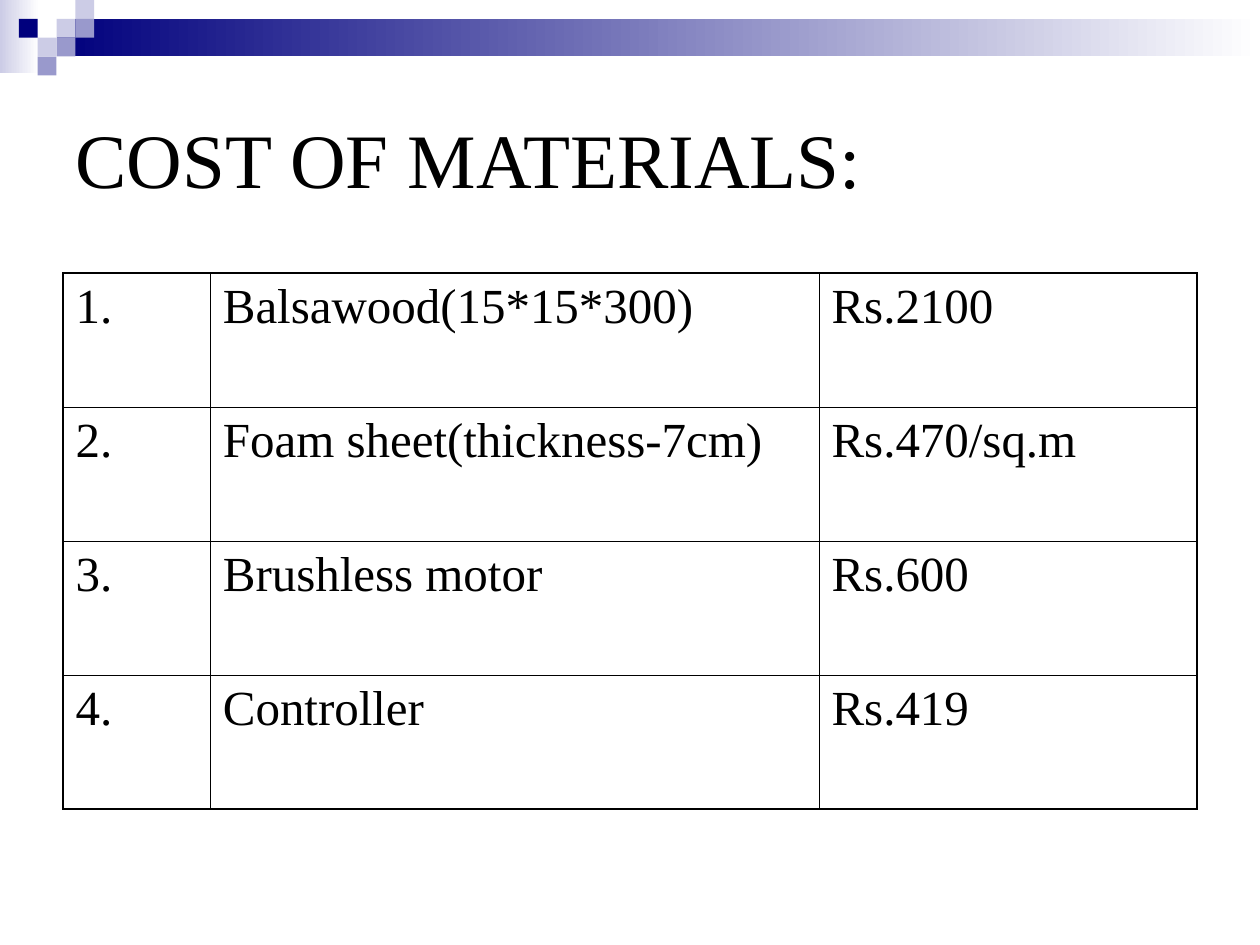
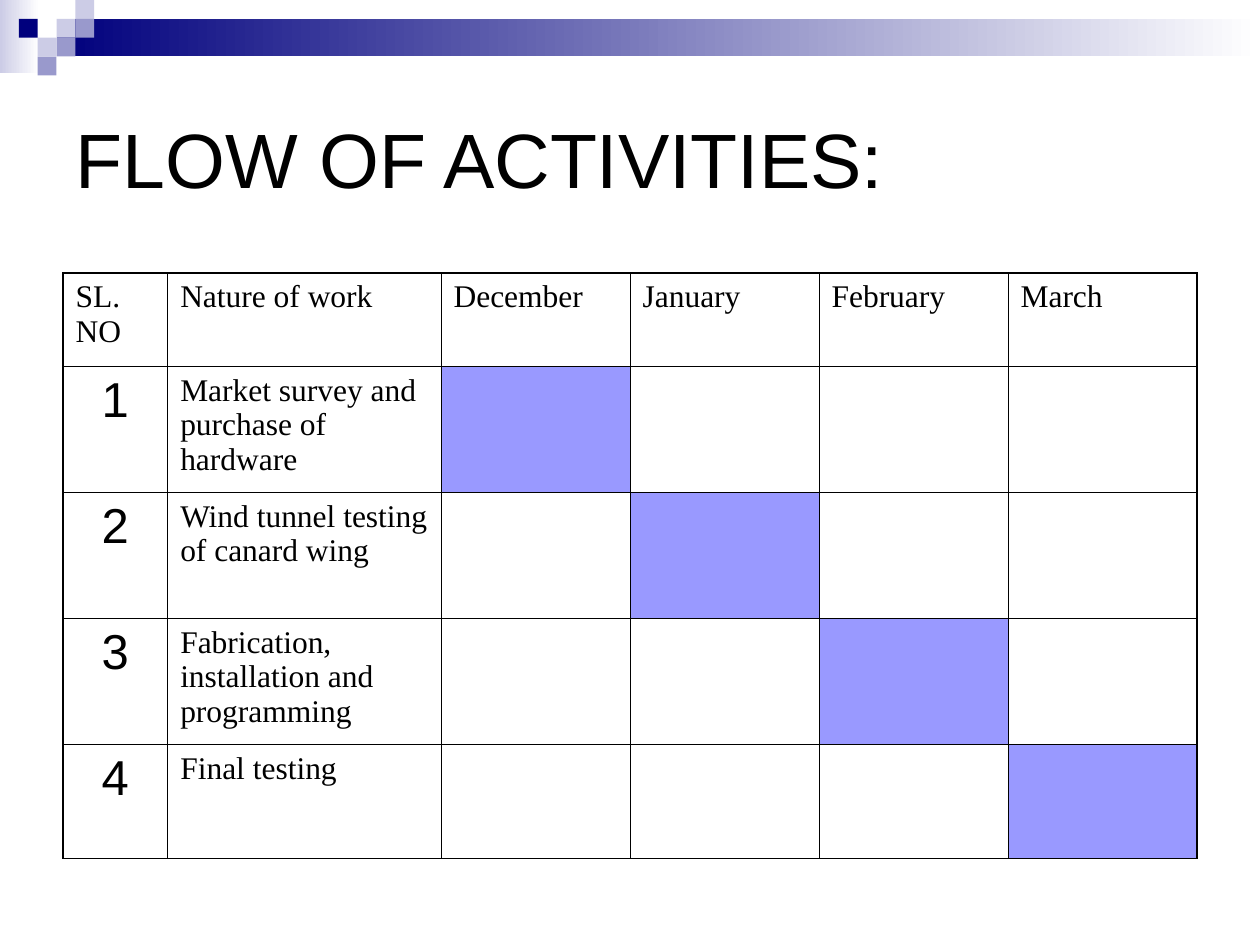
from dataclasses import dataclass

from lxml.etree import SubElement
from pptx import Presentation
from pptx.dml.color import RGBColor
from pptx.enum.shapes import MSO_SHAPE
from pptx.enum.text import MSO_ANCHOR, MSO_AUTO_SIZE, PP_ALIGN
from pptx.oxml.ns import qn
from pptx.util import Cm, Pt


@dataclass(frozen=True)
class Theme:
    ink: str = "000000"
    paper: str = "FFFFFF"
    navy: str = "00007D"
    lilac: str = "9999CC"
    mist: str = "CCCCE6"
    active: str = "9999FF"
    serif: str = "Times New Roman"
    sans: str = "Arial"
    title_size: float = 44
    large_size: float = 28
    small_size: float = 18
    outer_line: float = 1.08
    inner_line: float = 0.45


THEME = Theme()
TITLE_ONLY = 5
MARGIN, CONTENT_WIDTH = 1.27, 22.86
TABLE_TOP = 5.51
TILE = 0.38

# Tiles of the corner mosaic: column, row, colour
TILES = [
    (3, 1, THEME.mist), (4, 0, THEME.mist), (4, 1, THEME.lilac),
    (2, 2, THEME.mist), (1, 1, THEME.navy), (3, 2, THEME.lilac),
    (2, 3, THEME.lilac),
]

MATERIALS = [
    ("Balsawood(15*15*300)", "Rs.2100"),
    ("Foam sheet(thickness-7cm)", "Rs.470/sq.m"),
    ("Brushless motor", "Rs.600"),
    ("Controller", "Rs.419"),
]
MONTHS = ["December", "January", "February", "March"]
ACTIVITIES = [
    "Market survey and purchase of hardware",
    "Wind tunnel testing of canard wing",
    "Fabrication, installation and programming",
    "Final testing",
]


def rgb(colour):
    return RGBColor.from_string(colour)


def write(frame, text, font, size, align=PP_ALIGN.LEFT):
    paragraph = frame.paragraphs[0]
    paragraph.text = text
    paragraph.alignment = align
    for name, value in {"name": font, "size": Pt(size), "bold": False}.items():
        setattr(paragraph.font, name, value)
    paragraph.font.color.rgb = rgb(THEME.ink)


# Shared header, kept on the layout
def add_block(group, left, top, width, height, colour, fade=False):
    block = group.shapes.add_shape(
        MSO_SHAPE.RECTANGLE, Cm(left), Cm(top), Cm(width), Cm(height))
    block.shadow.inherit = False
    block.line.fill.background()
    if fade:
        block.fill.gradient()
        block.fill.gradient_angle = 0
        for stop, shade in zip(block.fill.gradient_stops, (colour, THEME.paper)):
            stop.color.rgb = rgb(shade)
    else:
        block.fill.solid()
        block.fill.fore_color.rgb = rgb(colour)


def add_header(slide):
    """Build the header band and move it to the slide's layout."""
    header = slide.shapes.add_group_shape()
    add_block(header, 0, 0, 0.79, 1.47, THEME.mist, fade=True)
    add_block(header, 3 * TILE, TILE, 25.4 - 3 * TILE, 2 * TILE, THEME.navy, fade=True)
    for column, row, colour in TILES:
        add_block(header, column * TILE, row * TILE, TILE, TILE, colour)
    layout_tree = slide.slide_layout.shapes.element
    for footer in list(slide.slide_layout.placeholders)[1:]:
        layout_tree.remove(footer.element)
    layout_tree.insert(2, header.element)


def add_titled_slide(deck, text, font):
    slide = deck.slides.add_slide(deck.slide_layouts[TITLE_ONLY])
    title = slide.shapes.title
    place = {"left": MARGIN, "top": MARGIN, "width": CONTENT_WIDTH, "height": 3.81}
    for name, value in place.items():
        setattr(title, name, Cm(value))
    title.text_frame.auto_size = MSO_AUTO_SIZE.NONE
    title.text_frame.vertical_anchor = MSO_ANCHOR.MIDDLE
    write(title.text_frame, text, font, THEME.title_size)
    return slide


# Tables
def set_borders(cell, outer_sides):
    properties = cell._tc.get_or_add_tcPr()
    for side, outer in outer_sides.items():
        width = THEME.outer_line if outer else THEME.inner_line
        line = SubElement(properties, qn(f"a:ln{side}"), w=str(Pt(width)))
        SubElement(SubElement(line, qn("a:solidFill")), qn("a:srgbClr"), val=THEME.ink)


def add_grid(slide, widths, heights):
    """Add an unfilled table with a heavier outer frame."""
    grid = slide.shapes.add_table(
        len(heights), len(widths), Cm(MARGIN), Cm(TABLE_TOP),
        Cm(sum(widths)), Cm(sum(heights))).table
    grid.first_row = grid.horz_banding = False
    for column, width in zip(grid.columns, widths):
        column.width = Cm(width)
    for row, height in zip(grid.rows, heights):
        row.height = Cm(height)
    last_row, last_column = len(heights) - 1, len(widths) - 1
    for r in range(len(heights)):
        for c in range(len(widths)):
            cell = grid.cell(r, c)
            set_borders(cell, {"L": c == 0, "R": c == last_column,
                               "T": r == 0, "B": r == last_row})
            cell.fill.background()
    return grid


def add_cost_table(slide):
    costs = add_grid(slide, [2.97, 12.27, 7.62], [2.7] * len(MATERIALS))
    for r, (material, price) in enumerate(MATERIALS):
        for c, text in enumerate((f"{r + 1}.", material, price)):
            write(costs.cell(r, c).text_frame, text, THEME.serif, THEME.large_size)


def add_schedule(slide):
    schedule = add_grid(slide, [2.11, 5.51] + [3.81] * len(MONTHS),
                        [1.88, 2.54, 2.54, 2.54, 2.3])
    for c, heading in enumerate(["SL. NO", "Nature of work"] + MONTHS):
        write(schedule.cell(0, c).text_frame, heading, THEME.serif, THEME.small_size)
    # Each activity takes one month, in turn
    for number, activity in enumerate(ACTIVITIES, start=1):
        write(schedule.cell(number, 0).text_frame, str(number),
              THEME.sans, THEME.large_size, PP_ALIGN.CENTER)
        write(schedule.cell(number, 1).text_frame, activity,
              THEME.serif, THEME.small_size)
        month = schedule.cell(number, number + 1)
        month.fill.solid()
        month.fill.fore_color.rgb = rgb(THEME.active)


def main():
    deck = Presentation()
    deck.slide_width, deck.slide_height = Cm(25.4), Cm(19.05)

    cost_slide = add_titled_slide(deck, "COST OF MATERIALS:", THEME.serif)
    add_header(cost_slide)
    add_cost_table(cost_slide)

    flow_slide = add_titled_slide(deck, "FLOW OF ACTIVITIES:", THEME.sans)
    add_schedule(flow_slide)

    deck.save("out.pptx")


if __name__ == "__main__":
    main()
